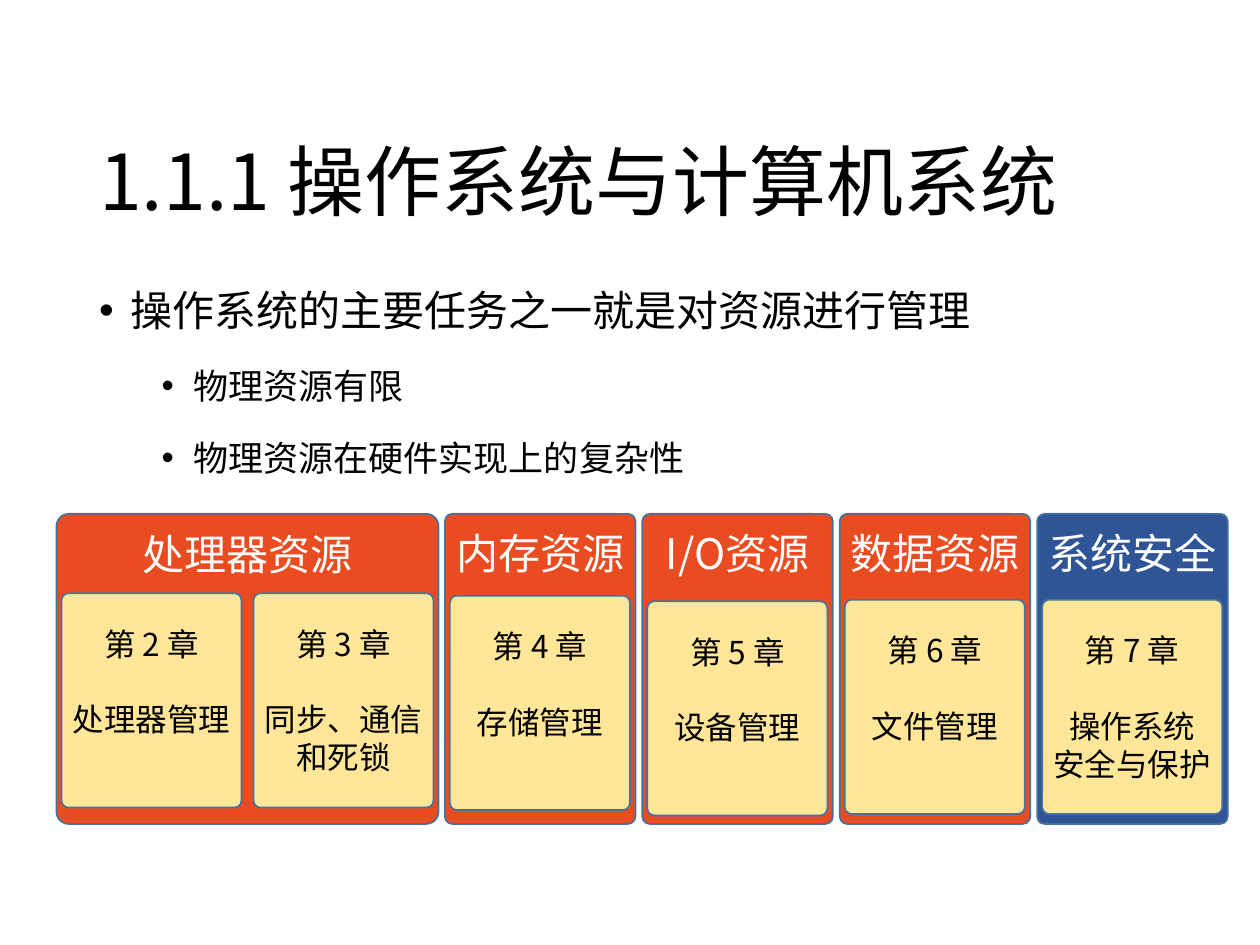
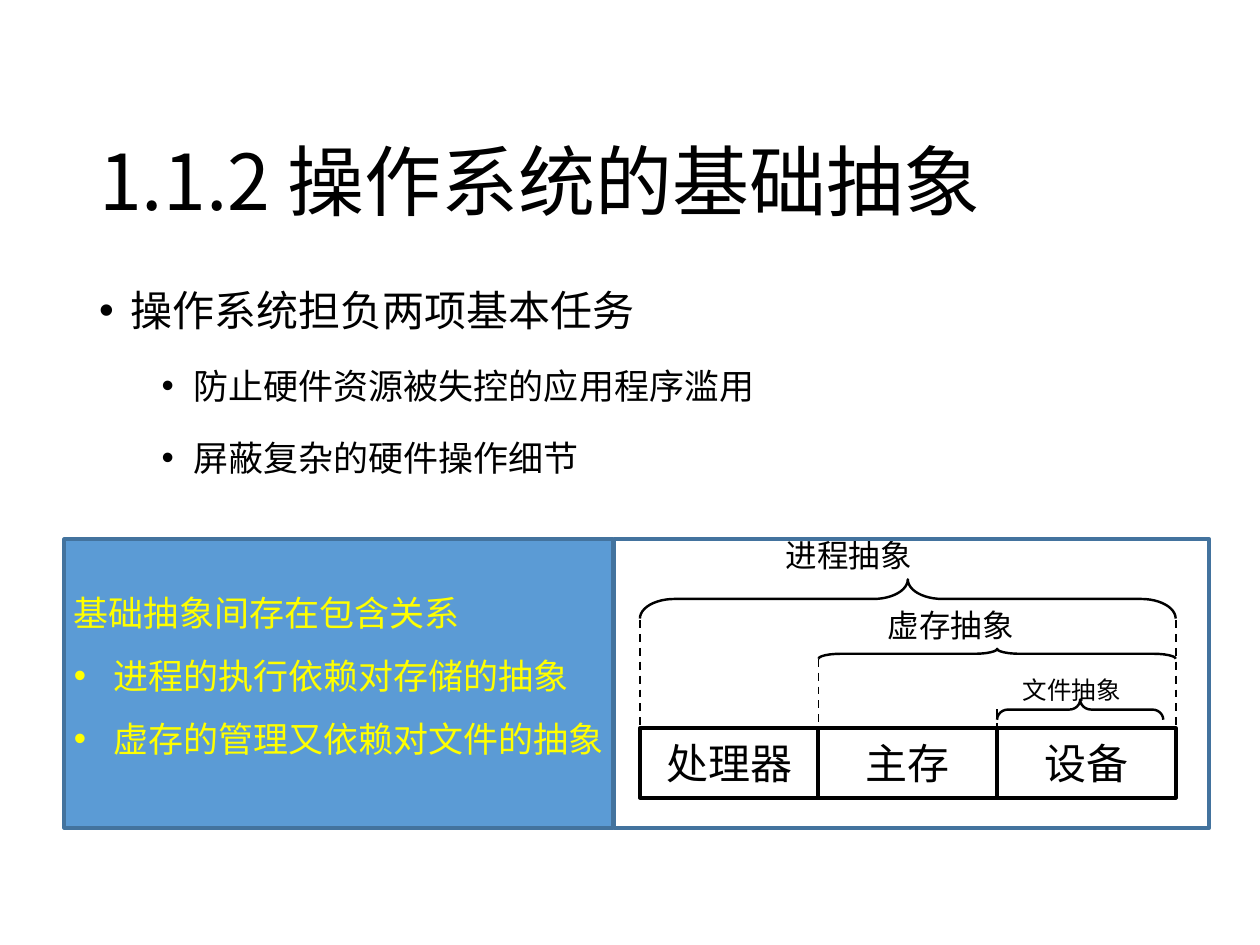
from lxml import etree
from pptx import Presentation
from pptx.dml.color import RGBColor
from pptx.enum.dml import MSO_LINE
from pptx.enum.shapes import MSO_CONNECTOR, MSO_SHAPE
from pptx.enum.text import MSO_ANCHOR, PP_ALIGN
from pptx.oxml.ns import qn
from pptx.util import Cm, Pt

LEFT, CENTER = PP_ALIGN.LEFT, PP_ALIGN.CENTER
TOP, MIDDLE, BOTTOM = MSO_ANCHOR.TOP, MSO_ANCHOR.MIDDLE, MSO_ANCHOR.BOTTOM
RECTANGLE, ROUNDED = MSO_SHAPE.RECTANGLE, MSO_SHAPE.ROUNDED_RECTANGLE
BRACE = MSO_SHAPE.LEFT_BRACE
STRAIGHT, DASH = MSO_CONNECTOR.STRAIGHT, MSO_LINE.DASH

CJK_FONT, LATIN_FONT = "Noto Sans CJK SC", "Arial"
BLACK, WHITE, YELLOW = "000000", "FFFFFF", "FFFF00"
ORANGE, NAVY, CREAM, BLUE, OUTLINE = "E94C21", "2F5597", "FFE699", "5B9BD5", "43739E"


def color(value):
    return RGBColor.from_string(value)


def set_bullet(paragraph, margin, hanging):
    properties = paragraph._p.get_or_add_pPr()
    properties.set("marL", str(Cm(margin)))
    properties.set("indent", str(-Cm(hanging)))
    etree.SubElement(properties, qn("a:buFont")).set("typeface", "Arial")
    etree.SubElement(properties, qn("a:buChar")).set("char", "•")


def add_paragraph(frame, text, size=18, ink=BLACK, font=CJK_FONT, align=LEFT,
                  spacing=None, before=0, bullet=None, level=0):
    """Fill the frame's empty first paragraph, or append one; bullet is (margin, hanging) in cm."""
    first = frame.paragraphs[0]
    paragraph = frame.add_paragraph() if first.runs else first
    paragraph.alignment = align
    paragraph.level = level
    if spacing:
        paragraph.line_spacing = spacing
    if before:
        paragraph.space_before = Pt(before)
    if bullet:
        set_bullet(paragraph, *bullet)
    run = paragraph.add_run()
    run.text = text
    run.font.size = Pt(size)
    run.font.color.rgb = color(ink)
    run.font.name = font
    east_asian = etree.SubElement(run._r.get_or_add_rPr(), qn("a:ea"))
    east_asian.set("typeface", CJK_FONT)


class Deck:
    def __init__(self):
        self.presentation = Presentation()
        self.presentation.slide_width = Cm(25.4)
        self.presentation.slide_height = Cm(19.05)
        self.slide = None

    def new_slide(self, title, task, details):
        self.slide = self.presentation.slides.add_slide(self.presentation.slide_layouts[6])
        frame = self.text_box(1.75, 1.02, 21.9, 3.68, anchor=BOTTOM)
        add_paragraph(frame, title, size=44, spacing=0.9)
        body = self.text_box(1.75, 5.1, 21.9, 5)
        add_paragraph(body, task, size=24, spacing=1.5, bullet=(0.64, 0.64))
        for detail in details:
            add_paragraph(body, detail, size=20, spacing=1.5, before=5,
                          bullet=(1.9, 0.64), level=1)

    def text_box(self, left, top, width, height, anchor=TOP, wrap=True):
        box = self.slide.shapes.add_textbox(Cm(left), Cm(top), Cm(width), Cm(height))
        box.text_frame.word_wrap = wrap
        box.text_frame.vertical_anchor = anchor
        return box.text_frame

    def shape(self, kind, left, top, width, height, fill=None, line=OUTLINE, weight=1.0):
        shape = self.slide.shapes.add_shape(kind, Cm(left), Cm(top), Cm(width), Cm(height))
        shape.shadow.inherit = False
        if fill:
            shape.fill.solid()
            shape.fill.fore_color.rgb = color(fill)
        else:
            shape.fill.background()
        shape.line.color.rgb = color(line)
        shape.line.width = Pt(weight)
        return shape

    def card(self, left, top, width, height, fill, anchor, insets):
        """Rounded card; insets are left, top, right, bottom in cm."""
        card = self.shape(ROUNDED, left, top, width, height, fill)
        card.adjustments[0] = 0.039
        frame = card.text_frame
        frame.word_wrap = True
        frame.vertical_anchor = anchor
        (frame.margin_left, frame.margin_top,
         frame.margin_right, frame.margin_bottom) = map(Cm, insets)
        return frame

    def top_brace(self, left, top, width, height, curve):
        """Brace opening downwards that covers the given area."""
        brace = self.shape(BRACE, left + (width - height) / 2, top + (height - width) / 2,
                           height, width, line=BLACK, weight=1.38)
        brace.rotation = 90
        brace.adjustments[0] = curve

    def dashed_line(self, x, top, bottom):
        line = self.slide.shapes.add_connector(STRAIGHT, Cm(x), Cm(top), Cm(x), Cm(bottom))
        line.line.color.rgb = color(BLACK)
        line.line.width = Pt(1.13)
        line.line.dash_style = DASH
        etree.SubElement(line._element.spPr, qn("a:effectLst"))


def build_resources(deck):
    deck.new_slide("1.1.1 操作系统与计算机系统", "操作系统的主要任务之一就是对资源进行管理",
                   ["物理资源有限", "物理资源在硬件实现上的复杂性"])
    narrow, step, first_narrow = 3.84, 3.98, 8.97
    groups = [("处理器资源", 1.14, 7.7, ORANGE)]
    groups += [(name, first_narrow + index * step, narrow, fill) for index, (name, fill) in
               enumerate([("内存资源", ORANGE), ("I/O资源", ORANGE),
                          ("数据资源", ORANGE), ("系统安全", NAVY)])]
    for name, left, width, fill in groups:
        frame = deck.card(left, 10.36, width, 6.25, fill, TOP, (0.1, 0.23, 0.1, 0.13))
        add_paragraph(frame, name, size=24, ink=WHITE, align=CENTER)

    line_height = 21.6
    chapters = [(1.24, 11.96, ["处理器管理"]), (5.11, 11.96, ["同步、通信和死锁"])]
    chapters += [(first_narrow + 0.1 + index * step, top, topics) for index, (top, topics) in
                 enumerate([(12.01, ["存储管理"]), (12.12, ["设备管理"]),
                            (12.09, ["文件管理"]), (12.09, ["操作系统", "安全与保护"])])]
    for number, (left, top, topics) in enumerate(chapters, start=2):
        fits_one_line = len("".join(topics)) <= 5
        frame = deck.card(left, top, 3.63, 4.32, CREAM, MIDDLE,
                          (0, 0, 0, 0.76 if fits_one_line else 0))
        add_paragraph(frame, f"第 {number} 章", align=CENTER)
        for index, topic in enumerate(topics):
            add_paragraph(frame, topic, align=CENTER, before=0 if index else line_height)


def build_abstractions(deck):
    deck.new_slide("1.1.2 操作系统的基础抽象", "操作系统担负两项基本任务",
                   ["防止硬件资源被失控的应用程序滥用", "屏蔽复杂的硬件操作细节"])
    hardware_left, hardware_top, cell_width = 12.9, 14.68, 3.6
    edges = [hardware_left + index * cell_width for index in range(4)]
    for left, name in zip(edges, ["处理器", "主存", "设备"]):
        cell = deck.shape(RECTANGLE, left, hardware_top, cell_width, 1.4,
                          line=BLACK, weight=2.25)
        cell.text_frame.word_wrap = False
        cell.text_frame.vertical_anchor = MIDDLE
        add_paragraph(cell.text_frame, name, size=24, font=LATIN_FONT, align=CENTER)

    deck.top_brace(edges[2], 14.1, 3.35, 0.41, curve=0.54)
    deck.top_brace(edges[1], 13.08, 2 * cell_width, 0.2, curve=2.3)
    deck.top_brace(edges[0], 11.68, 3 * cell_width, 0.79, curve=0.88)
    for x, top in zip(edges, [12.5, 13.28, 14.3, 12.5]):
        deck.dashed_line(x, top, hardware_top)
    for name, left, top, width, height, size in [("文件抽象", 19.93, 13.49, 3.35, 0.84, 14),
                                                 ("虚存抽象", 16.6, 12.09, 5.13, 1.02, 18),
                                                 ("进程抽象", 14.55, 10.69, 5.13, 1.02, 18)]:
        frame = deck.text_box(left, top, width, height)
        add_paragraph(frame, name, size=size, font=LATIN_FONT, align=CENTER)

    panel_top, panel_height = 10.87, 5.82
    deck.shape(RECTANGLE, 1.3, panel_top, 11.05, panel_height, fill=BLUE, weight=2.25)
    frame = deck.text_box(1.24, 11.38, 11.28, 3.96, wrap=False)
    for text, bullet in [("基础抽象间存在包含关系", None),
                         ("进程的执行依赖对存储的抽象", (0.79, 0.79)),
                         ("虚存的管理又依赖对文件的抽象", (0.79, 0.79))]:
        add_paragraph(frame, text, size=20, ink=YELLOW, spacing=1.5, bullet=bullet)
    deck.shape(RECTANGLE, 12.37, panel_top, 12.01, panel_height, weight=2.25)


def main():
    deck = Deck()
    build_resources(deck)
    build_abstractions(deck)
    deck.presentation.save("out.pptx")


if __name__ == "__main__":
    main()
